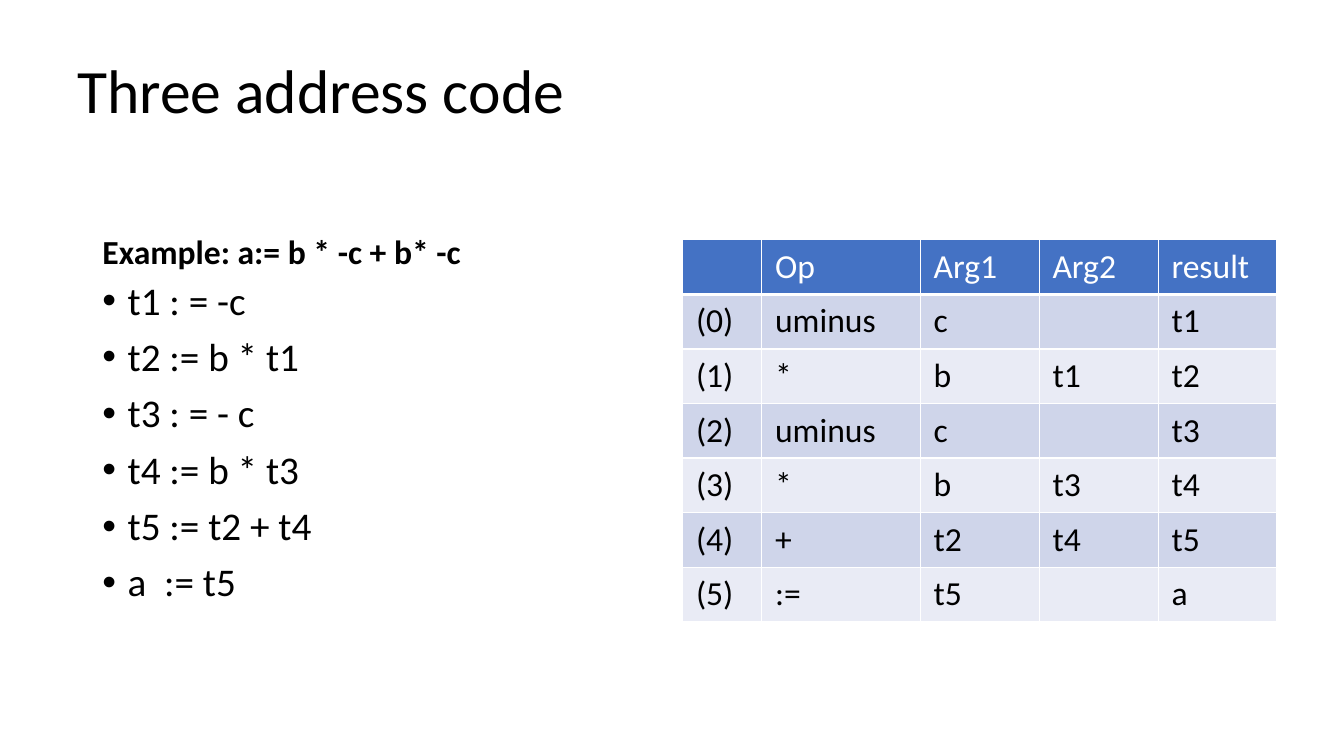
from dataclasses import dataclass

from lxml.etree import SubElement as Sub
from pptx import Presentation
from pptx.dml.color import RGBColor as Rgb
from pptx.enum.text import MSO_ANCHOR as Anchor, MSO_AUTO_SIZE as Fit, PP_ALIGN as Align
from pptx.oxml import parse_xml
from pptx.oxml.ns import nsdecls, qn
from pptx.util import Pt


@dataclass(frozen=True)
class Theme:
    font: str = "Calibri"
    ink: str = "000000"
    paper: str = "FFFFFF"
    head: str = "4472C4"
    bands: tuple[str, str] = ("CFD5EA", "E9EBF5")
    title: float = 44
    text: float = 28
    small: float = 24


@dataclass(frozen=True)
class Block:
    slot: int
    box: tuple[float, float, float, float]
    lines: tuple[str, ...]
    size: float
    anchor: Anchor
    bold: bool = False
    bullet: bool = False


THEME = Theme()

# Content
BLOCKS = (
    Block(0, (48, 21.6, 864, 90), ("Three address code",), THEME.title, Anchor.MIDDLE),
    Block(1, (66, 132.4, 406, 65), ("Example: a:= b * -c + b* -c",), THEME.small,
          Anchor.BOTTOM, bold=True),
    Block(2, (66, 197.3, 406, 290),
          ("t1 : = -c", "t2 := b * t1", "t3 : = - c", "t4 := b * t3",
           "t5 := t2 + t4", "a  := t5"), THEME.text, Anchor.TOP, bullet=True),
)
HEAD = ("", "Op", "Arg1", "Arg2", "result")
STEPS = (
    ("uminus", "c", "", "t1"),
    ("*", "b", "t1", "t2"),
    ("uminus", "c", "", "t3"),
    ("*", "b", "t3", "t4"),
    ("+", "t2", "t4", "t5"),
    (":=", "t5", "", "a"),
)
LEFT, TOP, ROW = 487.6, 171.3, 39
COLS = (56.5, 113.2, 85, 85, 85)


def write(para, text: str, *, size: float, color: str = THEME.ink, bold: bool = False,
          bullet: bool = False, lead: float = 1, gap: float = 0) -> None:
    """Fill one paragraph with formatted text."""
    props = para._p.get_or_add_pPr()
    props.set("marL", str(Pt(18 if bullet else 0)))
    props.set("indent", str(Pt(-18 if bullet else 0)))
    if bullet:
        Sub(props, qn("a:buFont"), typeface="Arial")
        Sub(props, qn("a:buChar"), char="•")
    else:
        Sub(props, qn("a:buNone"))
    para.alignment = Align.LEFT
    para.line_spacing = lead
    para.space_before = Pt(gap)
    run = para.add_run()
    run.text = text
    font = run.font
    font.name, font.size, font.bold = THEME.font, Pt(size), bold
    font.color.rgb = Rgb.from_string(color)


def place(slide, block: Block) -> None:
    """Move a placeholder and write its lines."""
    shape = slide.placeholders[block.slot]
    shape.left, shape.top, shape.width, shape.height = map(Pt, block.box)
    frame = shape.text_frame
    frame.word_wrap, frame.auto_size = True, Fit.NONE
    frame.vertical_anchor = block.anchor
    for i, line in enumerate(block.lines):
        para = frame.add_paragraph() if i else frame.paragraphs[0]
        write(para, line, size=block.size, bold=block.bold, bullet=block.bullet,
              lead=0.9, gap=10 if i else 0)


def edge(cell, base: float) -> None:
    """Draw the four borders; base is the width of the lower one."""
    props = cell._tc.get_or_add_tcPr()
    for i, (side, width) in enumerate(zip("LRTB", (1, 1, 1, base))):
        props.insert(i, parse_xml(
            f'<a:ln{side} {nsdecls("a")} w="{Pt(width)}"><a:solidFill>'
            f'<a:srgbClr val="{THEME.paper}"/></a:solidFill></a:ln{side}>'))


def grid(slide) -> None:
    """Build the table of steps, numbered from zero."""
    rows = [HEAD] + [(f"({i})", *step) for i, step in enumerate(STEPS)]
    frame = slide.shapes.add_table(len(rows), len(COLS), Pt(LEFT), Pt(TOP),
                                   Pt(sum(COLS)), Pt(ROW * len(rows)))
    table = frame.table
    for col, width in zip(table.columns, COLS):
        col.width = Pt(width)
    for r, row in enumerate(rows):
        table.rows[r].height = Pt(ROW)
        for c, text in enumerate(row):
            cell = table.cell(r, c)
            cell.margin_left = cell.margin_right = Pt(9.6)
            cell.margin_top = cell.margin_bottom = Pt(4.8)
            cell.fill.solid()
            fill = THEME.bands[(r - 1) % 2] if r else THEME.head
            cell.fill.fore_color.rgb = Rgb.from_string(fill)
            edge(cell, 1 if r else 3)
            if text:
                write(cell.text_frame.paragraphs[0], text, size=THEME.small,
                      color=THEME.ink if r else THEME.paper)


def main() -> None:
    deck = Presentation()
    deck.slide_width, deck.slide_height = Pt(960), Pt(540)
    slide = deck.slides.add_slide(deck.slide_layouts[4])

    # Title and lists
    for block in BLOCKS:
        place(slide, block)

    # Unused placeholders
    used = {block.slot for block in BLOCKS}
    for spare in list(slide.placeholders):
        if spare.placeholder_format.idx not in used:
            spare.element.getparent().remove(spare.element)

    # Table
    grid(slide)
    deck.save("out.pptx")


if __name__ == "__main__":
    main()
